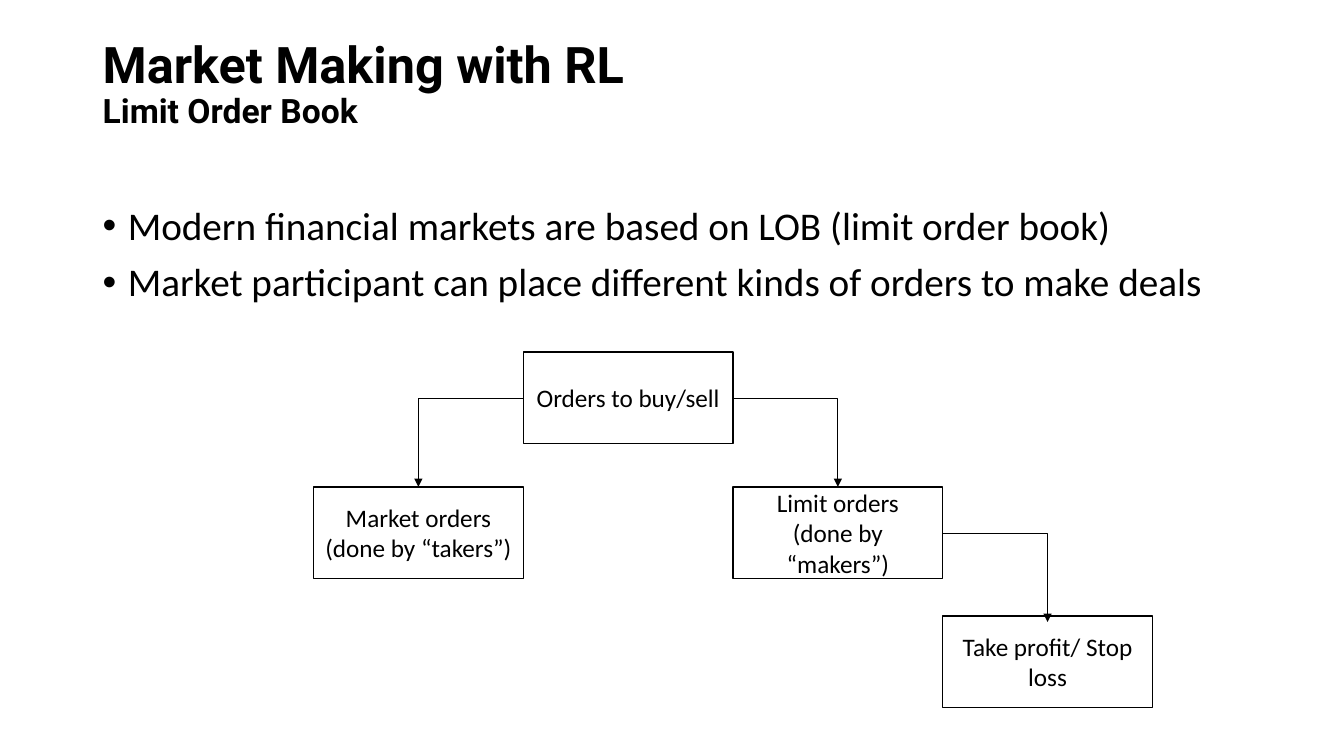
from lxml.etree import SubElement
from pptx import Presentation
from pptx.dml.color import RGBColor as RGB
from pptx.enum.shapes import MSO_CONNECTOR as CONN, MSO_SHAPE as SHAPE
from pptx.enum.text import MSO_ANCHOR as ANCHOR, PP_ALIGN as ALIGN
from pptx.oxml.ns import qn
from pptx.util import Pt

TITLE = [("Market Making with RL", "title"), ("Limit Order Book", "subtitle")]
BULLETS = [
    "Modern financial markets are based on LOB (limit order book)",
    "Market participant can place different kinds of orders to make deals",
]
ORDERS = {
    "orders": ("Orders to buy/sell", 1, 349),
    "market": ("Market orders\n(done by “takers”)", 0, 483),
    "limit": ("Limit orders\n(done by “makers”)", 2, 483),
    "stop": ("Take profit/ Stop loss", 3, 611),
}
ARROWS = [("orders", "market"), ("orders", "limit"), ("limit", "stop")]

THEME = {
    "ink": RGB(0, 0, 0),
    "paper": RGB(255, 255, 255),
    "title": {"name": "Roboto", "size": Pt(36), "bold": True},
    "subtitle": {"name": "Roboto", "size": Pt(24), "bold": True},
    "body": {"name": "Calibri", "size": Pt(28)},
    "box": {"name": "Calibri", "size": Pt(18)},
    "border": Pt(1),
    "arrow": Pt(0.5),
}
PX = 9144
LEFT, WIDTH = 92, 1150
TREE_LEFT, BOX_W, BOX_H = 311, 208, 91
DROP = 88


def px(*lengths):
    return [n * PX for n in lengths]


def apply(target, values):
    for key, value in values.items():
        setattr(target, key, value)


def style(r, role):
    apply(r.font, THEME[role])
    r.font.color.rgb = THEME["ink"]


def text_box(s, top, height, **frame):
    tf = s.shapes.add_textbox(*px(LEFT, top, WIDTH, height)).text_frame
    apply(tf, {"word_wrap": True, **frame})
    return tf


def add_title(s):
    p = text_box(s, 40, 145, margin_top=0).paragraphs[0]
    p.line_spacing = 0.9
    for i, (text, role) in enumerate(TITLE):
        if i:
            p.add_line_break()
        r = p.add_run()
        r.text = text
        style(r, role)


def add_bullets(s):
    tf = text_box(s, 200, 155)
    for i, text in enumerate(BULLETS):
        p = tf.add_paragraph() if i else tf.paragraphs[0]
        apply(p, {"text": text, "line_spacing": 0.9, "space_before": Pt(10)})
        style(p.runs[0], "body")
        pPr = p._p.get_or_add_pPr()
        pPr.set("marL", str(25 * PX))
        pPr.set("indent", str(-25 * PX))
        SubElement(pPr, qn("a:buFont")).set("typeface", "Arial")
        SubElement(pPr, qn("a:buChar")).set("char", "•")


def add_order(s, text, column, top):
    left = TREE_LEFT + column * BOX_W
    sp = s.shapes.add_shape(SHAPE.RECTANGLE, *px(left, top, BOX_W, BOX_H))
    sp.shadow.inherit = False
    sp.fill.solid()
    sp.fill.fore_color.rgb = THEME["paper"]
    sp.line.color.rgb = THEME["ink"]
    sp.line.width = THEME["border"]
    tf = sp.text_frame
    apply(tf, {"word_wrap": True, "vertical_anchor": ANCHOR.MIDDLE})
    p = tf.paragraphs[0]
    apply(p, {"text": text, "alignment": ALIGN.CENTER})
    for r in p.runs:
        style(r, "box")


def add_arrow(s, source, target):
    _, start_col, start_top = ORDERS[source]
    _, end_col, _ = ORDERS[target]
    x1 = TREE_LEFT + (start_col + (end_col > start_col)) * BOX_W
    x2 = TREE_LEFT + end_col * BOX_W + BOX_W // 2
    y1 = start_top + BOX_H // 2 + 1
    c = s.shapes.add_connector(CONN.ELBOW, *px(x1, y1, x2, y1 + DROP))
    c.line.color.rgb = THEME["ink"]
    c.line.width = THEME["arrow"]
    spPr = c._element.spPr
    spPr.find(qn("a:prstGeom")).set("prst", "bentConnector2")
    SubElement(spPr.find(qn("a:ln")), qn("a:tailEnd")).set("type", "triangle")
    SubElement(spPr, qn("a:effectLst"))


def main():
    prs = Presentation()
    prs.slide_width, prs.slide_height = px(1333, 750)
    s = prs.slides.add_slide(prs.slide_layouts[6])
    add_title(s)
    add_bullets(s)
    for order in ORDERS.values():
        add_order(s, *order)
    for source, target in ARROWS:
        add_arrow(s, source, target)
    prs.save("out.pptx")


if __name__ == "__main__":
    main()
